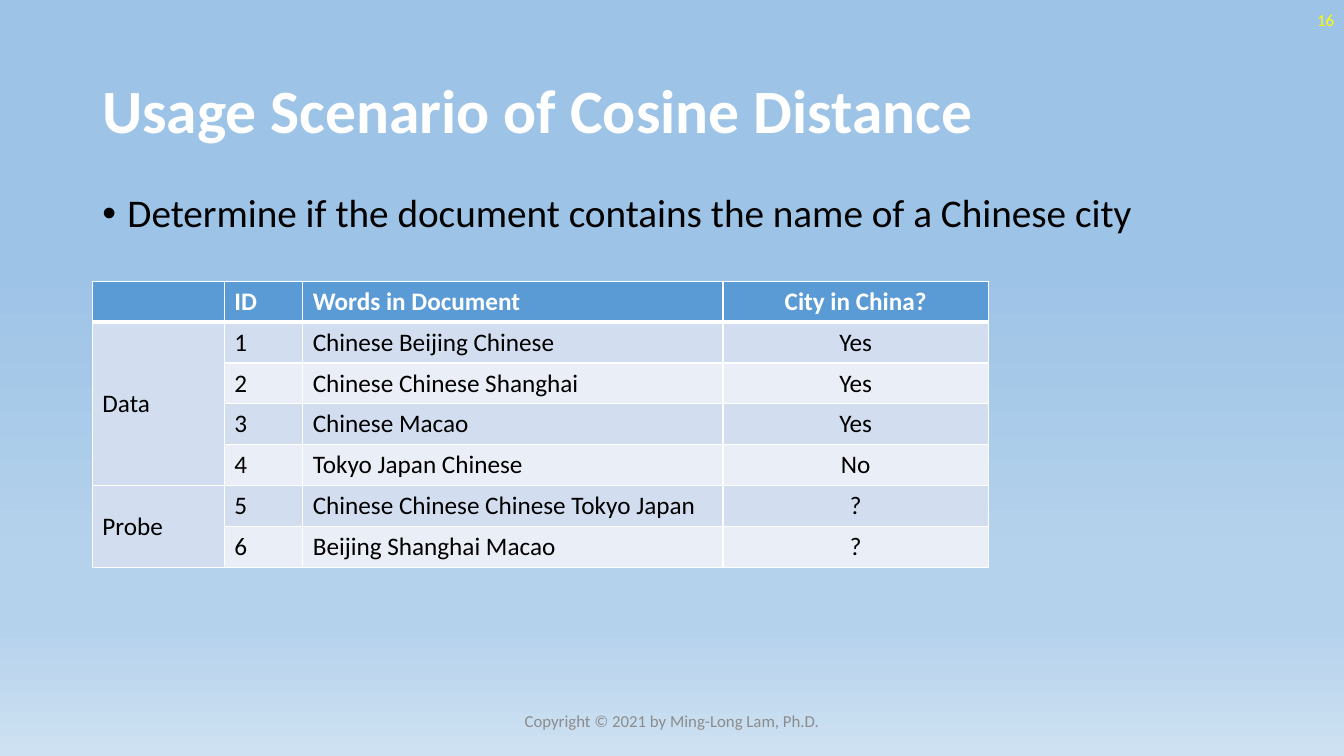
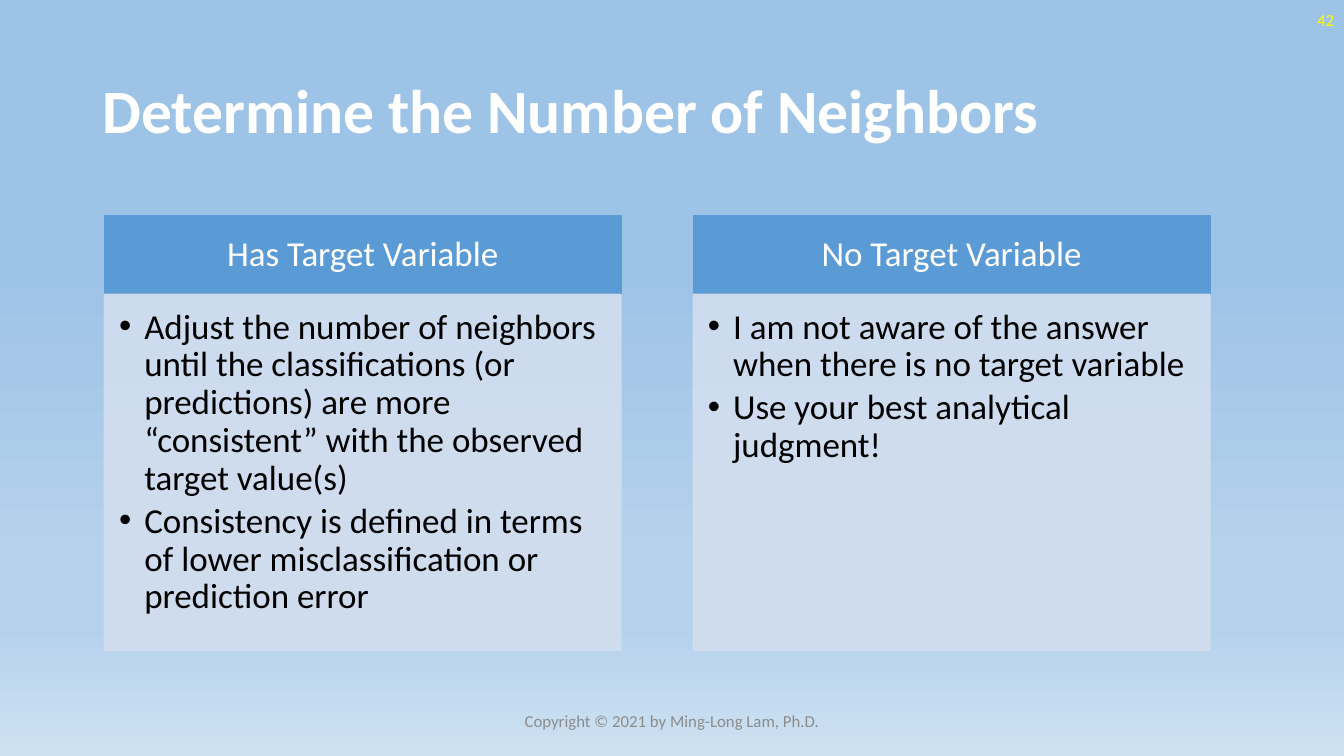
from lxml import etree
from pptx import Presentation
from pptx.dml.color import RGBColor
from pptx.enum.shapes import MSO_SHAPE
from pptx.enum.text import MSO_ANCHOR, PP_ALIGN
from pptx.oxml.ns import qn
from pptx.util import Pt

RECT = MSO_SHAPE.RECTANGLE
TOP, MID = MSO_ANCHOR.TOP, MSO_ANCHOR.MIDDLE
LEFT, CENTER, RIGHT = PP_ALIGN.LEFT, PP_ALIGN.CENTER, PP_ALIGN.RIGHT

# Shared look
FONT = "Calibri"
WHITE, BLACK, GRAY, YELLOW = "FFFFFF", "000000", "8C8C8C", "FFFF00"
BLUE, PALE, LIGHT = "5B9BD5", "D2DEEF", "EAEFF7"
SKY = [(35, "9DC3E6"), (74, "B5D2EC"), (83, "B5D2EC"), (100, "CEE1F2")]
WIDE, HIGH = 960, 540
EDGE = 66
INSET = (7.2, 3.6, 7.2, 3.6)
FOOTER = "Copyright © 2021 by Ming-Long Lam, Ph.D."

# Content
USAGE = {
    "title": "Usage Scenario of Cosine Distance",
    "page": "16",
    "lead": "Determine if the document contains the name of a Chinese city",
}
HEAD = ["", "ID", "Words in Document", "City in China?"]
GROUPS = [
    ("Data", [
        ("1", "Chinese Beijing Chinese", "Yes"),
        ("2", "Chinese Chinese Shanghai", "Yes"),
        ("3", "Chinese Macao", "Yes"),
        ("4", "Tokyo Japan Chinese", "No"),
    ]),
    ("Probe", [
        ("5", "Chinese Chinese Chinese Tokyo Japan", "?"),
        ("6", "Beijing Shanghai Macao", "?"),
    ]),
]
COLS = [94.3, 56, 300.2, 189.5]
ROW = 29.2

NUMBER = {"title": "Determine the Number of Neighbors", "page": "42"}
PANELS = [
    ("Has Target Variable", [
        "Adjust the number of neighbors until the classifications (or "
        "predictions) are more “consistent” with the observed target value(s)",
        "Consistency is defined in terms of lower misclassification or "
        "prediction error",
    ]),
    ("No Target Variable", [
        "I am not aware of the answer when there is no target variable",
        "Use your best analytical judgment!",
    ]),
]


def rgb(code):
    return RGBColor.from_string(code)


def style(para, size, color, bold=False, align=LEFT, bullet=False,
          line=None, before=0, after=0):
    para.alignment = align
    para.space_before, para.space_after = Pt(before), Pt(after)
    if line:
        para.line_spacing = line
    if bullet:
        props = para._p.get_or_add_pPr()
        props.set("marL", str(Pt(18)))
        props.set("indent", str(-Pt(18)))
        etree.SubElement(props, qn("a:buFont"), typeface="Arial")
        etree.SubElement(props, qn("a:buChar"), char="•")
    font = para.font
    font.name, font.size, font.bold = FONT, Pt(size), bold
    font.color.rgb = rgb(color)


def write(shape, lines, anchor=TOP, inset=INSET, **look):
    frame = shape.text_frame
    frame.word_wrap = True
    frame.vertical_anchor = anchor
    (frame.margin_left, frame.margin_top,
     frame.margin_right, frame.margin_bottom) = map(Pt, inset)
    frame.text = "\n".join(lines)
    for para in frame.paragraphs:
        style(para, **look)


def label(slide, box, text, **look):
    write(slide.shapes.add_textbox(*map(Pt, box)), [text], **look)


def block(slide, box, color, opaque=100):
    shape = slide.shapes.add_shape(RECT, *map(Pt, box))
    shape.shadow.inherit = False
    shape.fill.solid()
    shape.fill.fore_color.rgb = rgb(color)
    shape.line.color.rgb = rgb(color)
    shape.line.width = Pt(1)
    if opaque < 100:
        for tint in shape._element.spPr.iter(qn("a:srgbClr")):
            etree.SubElement(tint, qn("a:alpha"), val=str(opaque * 1000))
    return shape


def border(cell, widths):
    props = cell._tc.get_or_add_tcPr()
    for side, width in zip("LRTB", widths):
        edge = etree.SubElement(props, qn("a:ln" + side), w=str(Pt(width)))
        fill = etree.SubElement(edge, qn("a:solidFill"))
        etree.SubElement(fill, qn("a:srgbClr"), val=WHITE)


def paint(master):
    fill = master.background.fill
    fill.gradient()
    fill.gradient_angle = 270
    stops = next(master.element.iter(qn("a:gsLst")))
    for stop in list(stops):
        stops.remove(stop)
    for place, color in SKY:
        stop = etree.SubElement(stops, qn("a:gs"), pos=str(place * 1000))
        etree.SubElement(stop, qn("a:srgbClr"), val=color)


def start(prs, title, page):
    slide = prs.slides.add_slide(prs.slide_layouts[6])
    label(slide, (EDGE, 28.75, 828, 104.4), title, anchor=MID,
          size=44, color=WHITE, bold=True, line=0.9)
    label(slide, (WIDE - 216, 0, 216, 28.75), page, anchor=MID,
          size=12, color=YELLOW, align=RIGHT)
    label(slide, (318, 500.5, 324, 28.75), FOOTER, anchor=MID,
          size=12, color=GRAY, align=CENTER)
    return slide


def usage(prs):
    slide = start(prs, USAGE["title"], USAGE["page"])
    label(slide, (EDGE, 135, 828, 53), USAGE["lead"], size=28, color=BLACK,
          bullet=True, line=0.9, before=10)

    # Document table, with the group name on the first row of each group
    rows, spans = [HEAD], []
    for name, docs in GROUPS:
        spans.append((len(rows), len(rows) + len(docs) - 1))
        rows += [(name if i == 0 else "", *doc) for i, doc in enumerate(docs)]
    box = (EDGE, 200.9, sum(COLS), ROW * len(rows))
    table = slide.shapes.add_table(
        len(rows), len(COLS), *map(Pt, box)).table
    for col, width in zip(table.columns, COLS):
        col.width = Pt(width)
    for r, row in enumerate(rows):
        table.rows[r].height = Pt(ROW)
        for c, text in enumerate(row):
            cell = table.cell(r, c)
            border(cell, (1, 1, 3 if r == 1 else 1, 3 if r == 0 else 1))
            fill = BLUE if r == 0 else PALE if c == 0 or r % 2 else LIGHT
            cell.fill.solid()
            cell.fill.fore_color.rgb = rgb(fill)
            cell.vertical_anchor = MID if r and c == 0 else TOP
            cell.text = text
            style(cell.text_frame.paragraphs[0], 18, BLACK if r else WHITE,
                  bold=r == 0, align=CENTER if c == 3 else LEFT)
    for first, last in spans:
        table.cell(first, 0).merge(table.cell(last, 0))


def number(prs):
    slide = start(prs, NUMBER["title"], NUMBER["page"])

    # Two panels, each a header over a list
    left, top, wide, step = 74.6, 153.8, 369, 420.6
    head, body = 56.4, 254.4
    for i, (name, points) in enumerate(PANELS):
        x = left + i * step
        write(block(slide, (x, top, wide, head), BLUE), [name], anchor=MID,
              inset=(14, 8, 14, 8), size=25, color=WHITE, align=CENTER,
              line=0.9)
        write(block(slide, (x, top + head, wide, body), PALE, 90), points,
              inset=(10.5, 10.5, 14, 15.8), size=25, color=BLACK,
              bullet=True, line=0.9, after=3.75)


def main():
    prs = Presentation()
    prs.slide_width, prs.slide_height = Pt(WIDE), Pt(HIGH)
    paint(prs.slide_master)
    usage(prs)
    number(prs)
    prs.save("out.pptx")


if __name__ == "__main__":
    main()
